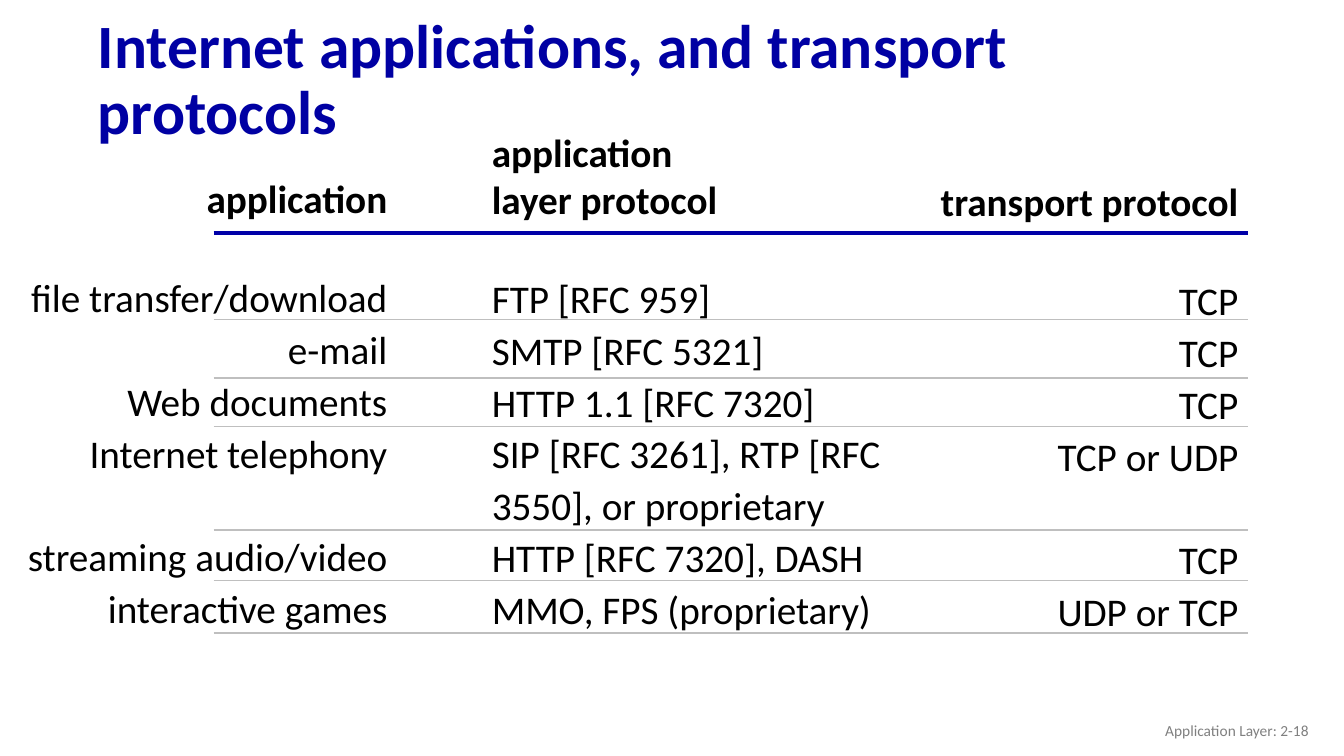
from dataclasses import dataclass

from lxml.etree import SubElement
from pptx import Presentation
from pptx.dml.color import RGBColor
from pptx.enum.shapes import MSO_CONNECTOR
from pptx.enum.text import MSO_ANCHOR, MSO_AUTO_SIZE, PP_ALIGN
from pptx.oxml.ns import qn
from pptx.util import Inches, Pt


@dataclass(frozen=True)
class Theme:
    font: str = "Calibri"
    title_color: str = "0000A3"
    header_rule: str = "0000A8"
    row_rule: str = "BFBFBF"
    text: str = "000000"
    footer: str = "808080"
    title_size: int = 44
    body_size: int = 28
    footer_size: int = 11
    row_spacing: float = 1.1
    header_gap: int = 34
    skipped_line: int = 37


THEME = Theme()

APPLICATIONS = [
    "file transfer/download",
    "e-mail",
    "Web documents",
    "Internet telephony",
    "streaming audio/video",
    "interactive games",
]
APPLICATION_PROTOCOLS = [
    "FTP [RFC 959]",
    "SMTP [RFC 5321]",
    "HTTP 1.1 [RFC 7320]",
    "SIP [RFC 3261], RTP [RFC 3550], or proprietary",
    "HTTP [RFC 7320], DASH",
    "MMO, FPS (proprietary)",
]
TRANSPORT_PROTOCOLS = ["TCP", "TCP", "TCP", "TCP or UDP", "TCP", "UDP or TCP"]
ROW_AFTER_TALL_ROW = 4
ROW_RULES = [3.17, 3.75, 4.23, 5.26, 5.76, 6.28]


def style_paragraph(paragraph, size, color, bold=False, align=PP_ALIGN.LEFT):
    paragraph.alignment = align
    paragraph.font.name = THEME.font
    paragraph.font.size = Pt(size)
    paragraph.font.bold = bold
    paragraph.font.color.rgb = RGBColor.from_string(color)


def add_title(slide, text):
    title = slide.shapes.title
    title.left, title.top = Inches(0.87), Inches(0.32)
    title.width, title.height = Inches(11.5), Inches(0.98)
    frame = title.text_frame
    frame.text = text
    frame.auto_size = MSO_AUTO_SIZE.NONE
    frame.vertical_anchor = MSO_ANCHOR.MIDDLE
    paragraph = frame.paragraphs[0]
    paragraph.line_spacing = 0.9
    style_paragraph(paragraph, THEME.title_size, THEME.title_color, bold=True)


def add_text_box(slide, left, top, width, height, lines, wrap=True):
    box = slide.shapes.add_textbox(
        Inches(left), Inches(top), Inches(width), Inches(height)
    )
    frame = box.text_frame
    frame.text = "\n".join(lines)
    frame.word_wrap = wrap
    return frame


def add_column(slide, bounds, headers, rows, align, wrap):
    frame = add_text_box(slide, *bounds, headers + rows, wrap)
    frame.auto_size = MSO_AUTO_SIZE.SHAPE_TO_FIT_TEXT
    for index, paragraph in enumerate(frame.paragraphs):
        row = index - len(headers)
        style_paragraph(paragraph, THEME.body_size, THEME.text, row < 0, align)
        if row >= 0:
            paragraph.line_spacing = THEME.row_spacing
        if row == 0:
            paragraph.space_before = Pt(THEME.header_gap)
        elif row == ROW_AFTER_TALL_ROW and not wrap:
            paragraph.space_before = Pt(THEME.skipped_line)


def add_rule(slide, top, color, weight):
    rule = slide.shapes.add_connector(
        MSO_CONNECTOR.STRAIGHT, Inches(2.12), Inches(top), Inches(12.38), Inches(top)
    )
    rule.line.color.rgb = RGBColor.from_string(color)
    rule.line.width = Pt(weight)
    SubElement(rule._element.spPr, qn("a:effectLst"))


def add_footer(slide, text):
    frame = add_text_box(slide, 10.08, 7.05, 3, 0.4, [text])
    frame.vertical_anchor = MSO_ANCHOR.MIDDLE
    style_paragraph(
        frame.paragraphs[0], THEME.footer_size, THEME.footer, align=PP_ALIGN.RIGHT
    )


def main():
    presentation = Presentation()
    presentation.slide_width = Inches(13.33)
    presentation.slide_height = Inches(7.5)
    slide = presentation.slides.add_slide(presentation.slide_layouts[5])

    add_title(slide, "Internet applications, and transport protocols")
    add_column(slide, (0.13, 1.68, 3.81, 4.65), ["application"],
               APPLICATIONS, PP_ALIGN.RIGHT, wrap=False)
    add_rule(slide, 2.31, THEME.header_rule, 2.5)
    for top in ROW_RULES:
        add_rule(slide, top, THEME.row_rule, 1.25)
    add_column(slide, (4.78, 1.22, 4.4, 5.64), ["application", "layer protocol"],
               APPLICATION_PROTOCOLS, PP_ALIGN.LEFT, wrap=True)
    add_column(slide, (9.19, 1.71, 3.19, 4.65), ["transport protocol"],
               TRANSPORT_PROTOCOLS, PP_ALIGN.RIGHT, wrap=False)
    add_footer(slide, "Application Layer: 2-18")

    presentation.save("out.pptx")


if __name__ == "__main__":
    main()
